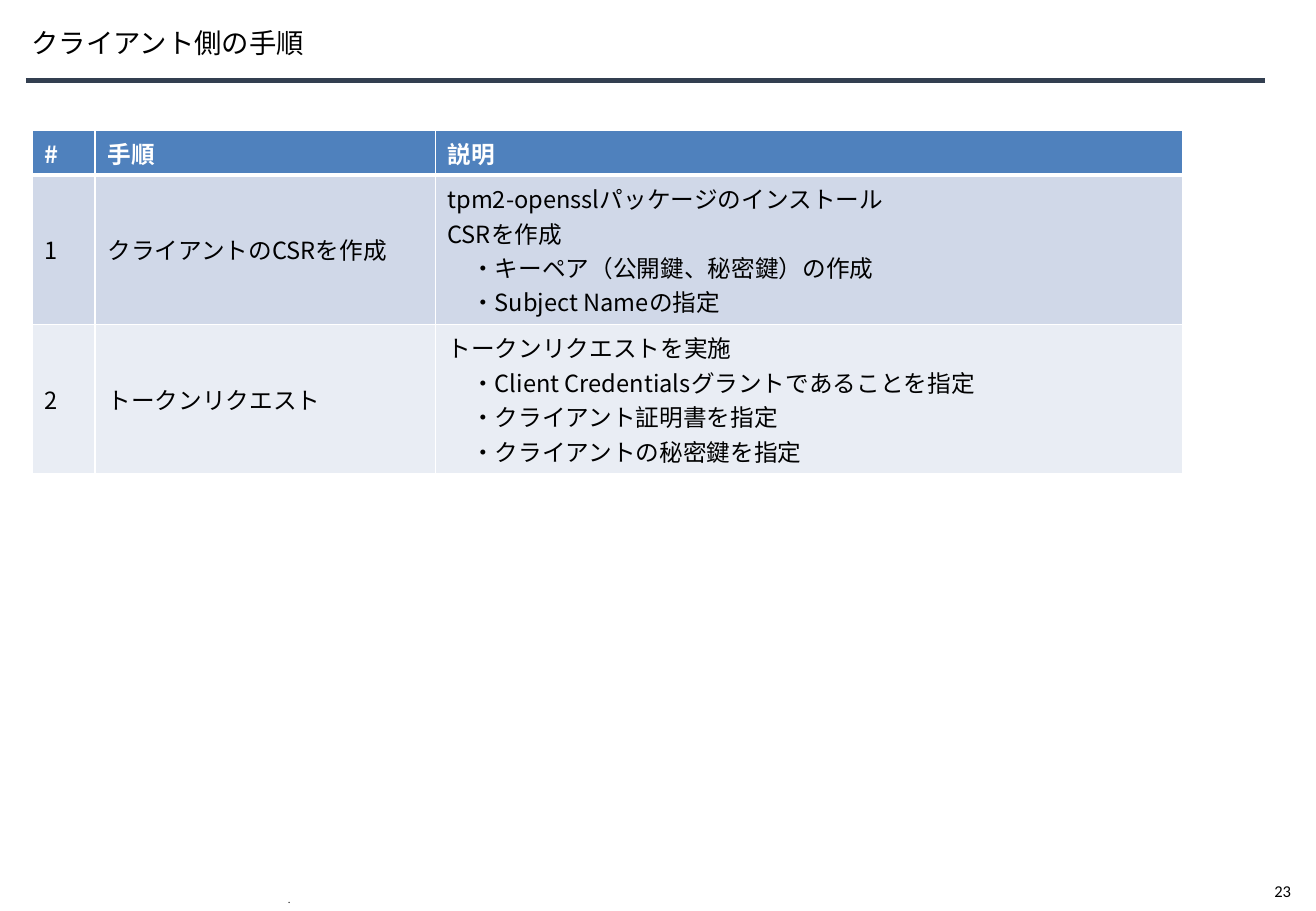
from lxml import etree
from pptx import Presentation
from pptx.dml.color import RGBColor
from pptx.enum.shapes import MSO_CONNECTOR
from pptx.enum.text import MSO_ANCHOR
from pptx.oxml.ns import qn
from pptx.util import Cm, Pt

STRAIGHT = MSO_CONNECTOR.STRAIGHT
TOP, MIDDLE, BOTTOM = MSO_ANCHOR.TOP, MSO_ANCHOR.MIDDLE, MSO_ANCHOR.BOTTOM
BLACK = RGBColor(0x00, 0x00, 0x00)
WHITE = RGBColor(0xFF, 0xFF, 0xFF)
NAVY = RGBColor(0x33, 0x3F, 0x50)
BLUE = RGBColor(0x4F, 0x81, 0xBD)
BAND_DARK = RGBColor(0xD0, 0xD8, 0xE8)
BAND_LIGHT = RGBColor(0xE9, 0xED, 0xF4)
JP_FONT = "Noto Sans CJK JP"


def write(tf, text, size=14, font=JP_FONT, color=BLACK, bold=False, spacing=None):
    for i, line in enumerate(text.split("\n")):
        p = tf.paragraphs[0] if i == 0 else tf.add_paragraph()
        p.line_spacing = spacing
        if line.startswith("・"):
            pPr = p._p.get_or_add_pPr()
            pPr.set("marL", str(Pt(14)))
            pPr.set("indent", "0")
        r = p.add_run()
        r.text = line
        r.font.size = Pt(size)
        r.font.bold = bold
        r.font.color.rgb = color
        r.font.name = font
        etree.SubElement(r._r.get_or_add_rPr(), qn("a:ea"), typeface=font)


def set_border(cell, side, width):
    ln = etree.SubElement(cell._tc.get_or_add_tcPr(), qn("a:ln" + side), w=str(Pt(width)))
    fill = etree.SubElement(ln, qn("a:solidFill"))
    etree.SubElement(fill, qn("a:srgbClr"), val=str(WHITE))


prs = Presentation()
prs.slide_width, prs.slide_height = Cm(27.51), Cm(19.05)
s = prs.slides.add_slide(prs.slide_layouts[6])

rule = s.shapes.add_connector(STRAIGHT, Cm(0.54), Cm(1.68), Cm(26.44), Cm(1.68))
rule.line.color.rgb = NAVY
rule.line.width = Pt(3)
etree.SubElement(rule._element.spPr, qn("a:effectLst"))

labels = [
    ((0.66, 0.33, 25.2, 1.19), "クライアント側の手順", MIDDLE, 0, True,
     dict(size=16.2, spacing=0.9)),
    ((5.77, 18.69, 16, 0.36), ".", BOTTOM, 0.25, True,
     dict(size=5.7, spacing=Pt(1.6))),
    ((26.39, 18.29, 0.91, 0.69), "23", TOP, 0.25, False,
     dict(size=9.8, font="Calibri")),
]
for box, text, anchor, inset, wrap, style in labels:
    tf = s.shapes.add_textbox(*map(Cm, box)).text_frame
    tf.word_wrap = wrap
    tf.vertical_anchor = anchor
    tf.margin_left = Cm(inset)
    write(tf, text, **style)

rows = [
    ("#", "手順", "説明"),
    ("1", "クライアントのCSRを作成",
     "tpm2-opensslパッケージのインストール\nCSRを作成\n"
     "・キーペア（公開鍵、秘密鍵）の作成\n・Subject Nameの指定"),
    ("2", "トークンリクエスト",
     "トークンリクエストを実施\n・Client Credentialsグラントであることを指定\n"
     "・クライアント証明書を指定\n・クライアントの秘密鍵を指定"),
]
fills = [BLUE, BAND_DARK, BAND_LIGHT]
col_widths = [1.32, 7.11, 15.62]
row_heights = [0.94, 3.12, 3.12]

table = s.shapes.add_table(len(rows), len(col_widths), Cm(0.67), Cm(2.72),
                           Cm(sum(col_widths)), Cm(sum(row_heights))).table
for column, width in zip(table.columns, col_widths):
    column.width = Cm(width)
for i, texts in enumerate(rows):
    table.rows[i].height = Cm(row_heights[i])
    header = i == 0
    for j, text in enumerate(texts):
        cell = table.cell(i, j)
        cell.vertical_anchor = TOP if header else MIDDLE
        for side in "LRTB":
            thick = (i, side) in [(0, "B"), (1, "T")]
            set_border(cell, side, 3 if thick else 1)
        cell.fill.solid()
        cell.fill.fore_color.rgb = fills[i]
        write(cell.text_frame, text, color=WHITE if header else BLACK, bold=header)

prs.save("out.pptx")
